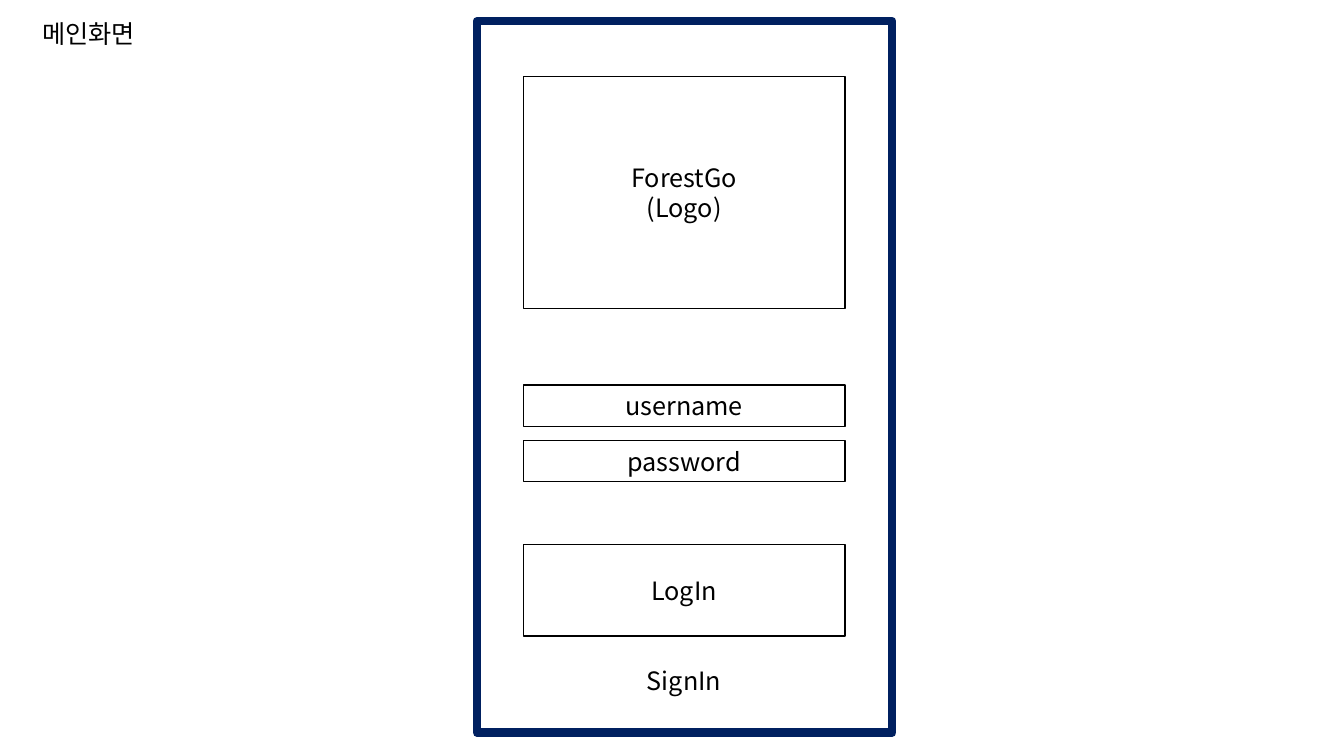
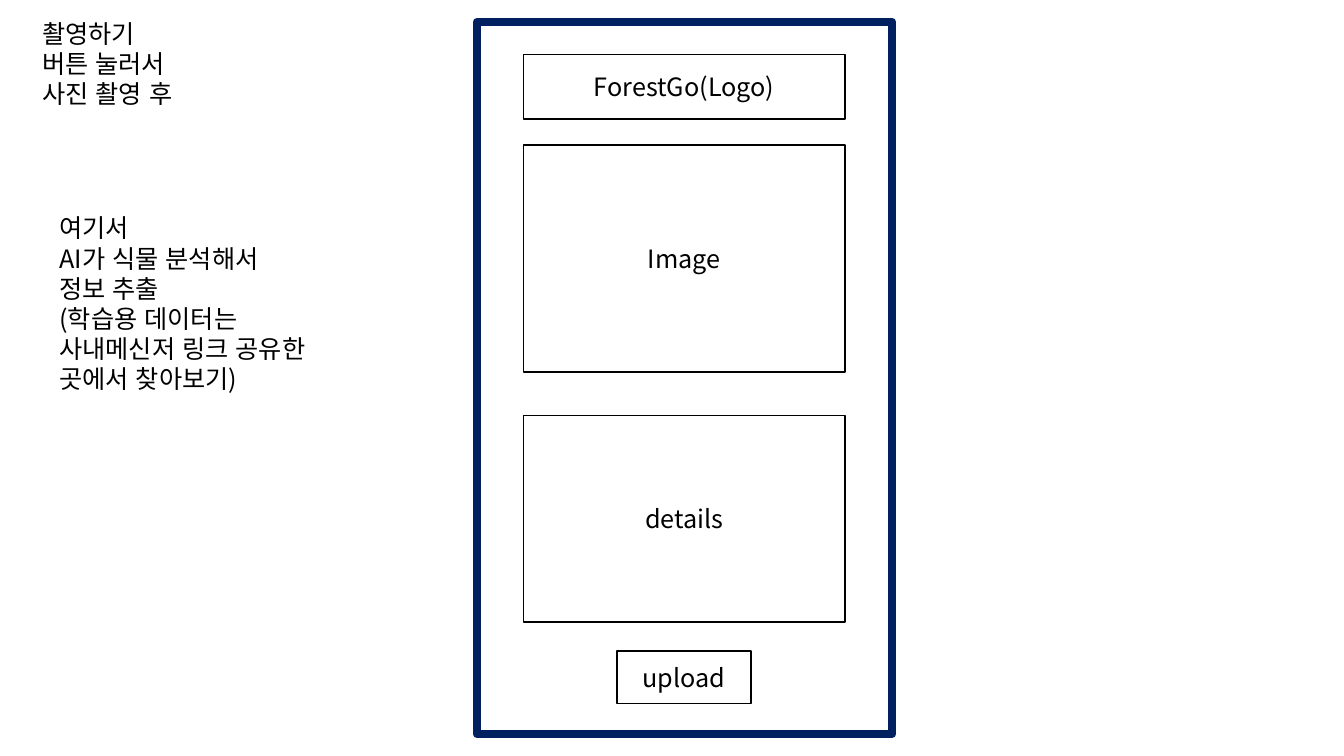
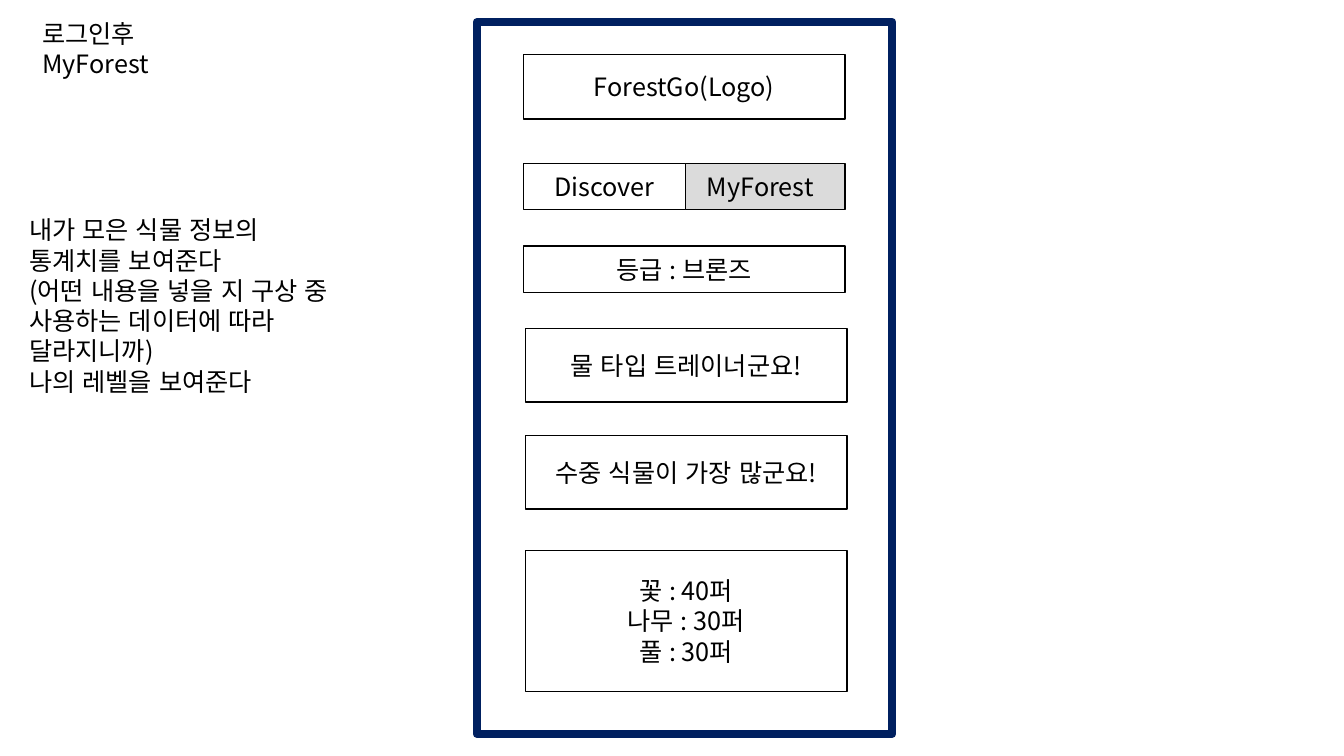
from pptx import Presentation
from pptx.dml.color import RGBColor
from pptx.enum.lang import MSO_LANGUAGE_ID as Lang
from pptx.enum.shapes import MSO_SHAPE as Shape
from pptx.enum.text import MSO_ANCHOR as Anchor, MSO_AUTO_SIZE as AutoSize, PP_ALIGN as Align
from pptx.oxml.ns import qn
from pptx.util import Emu, Pt
from lxml.etree import SubElement

PX = 9144  # EMU, 100 px to the inch
FONT, SIZE = "Noto Sans CJK KR", 18
NAVY, BLACK, WHITE, GREY = "002060", "000000", "FFFFFF", "DBDBDB"

# x, y, width, height
PHONE = (473, 22, 412, 706)
COL_X, COL_W = 519, 319
LOW_X = COL_X + 2
TITLE_XY = (32, 13)
LOGO = dict(text="ForestGo(Logo)", at=(COL_X, 54, COL_W, 64))

SCREENS = [
    dict(
        title=("메인화면", 155, 40),
        phone_dy=-1,
        boxes=[
            dict(text="ForestGo\n(Logo)", at=(COL_X, 76, COL_W, 230)),
            dict(text="username", at=(COL_X, 382, COL_W, 41)),
            dict(text="password", at=(COL_X, 437, COL_W, 41)),
            dict(text="LogIn", at=(COL_X, 540, COL_W, 91)),
            dict(text="SignIn", at=(COL_X, 654, COL_W, 41), line=None),
        ],
    ),
    dict(
        title=("촬영하기\n버튼 눌러서\n사진 촬영 후", 220, 101),
        note=("여기서\nAI가 식물 분석해서 정보 추출\n(학습용 데이터는\n"
              "사내메신저 링크 공유한 곳에서 찾아보기)", (49, 206, 267, 192)),
        boxes=[
            LOGO,
            dict(text="Image", at=(COL_X, 144, COL_W, 225)),
            dict(text="details", at=(COL_X, 412, COL_W, 205)),
            dict(text="upload", at=(612, 646, 133, 52)),
        ],
    ),
    dict(
        title=("로그인후\nMyForest", 155, 71),
        note=("내가 모은 식물 정보의\n통계치를 보여준다\n(어떤 내용을 넣을 지 구상 중\n"
              "사용하는 데이터에 따라 달라지니까)\n나의 레벨을 보여준다",
              (19, 208, 355, 192)),
        boxes=[
            LOGO,
            dict(text="MyForest", at=(670, 162, 168, 46), fill=GREY),
            dict(text="Discover", at=(COL_X, 162, 161, 46), fill=WHITE),
            dict(text="등급 : 브론즈", at=(COL_X, 244, COL_W, 46)),
            dict(text="물 타입 트레이너군요!", at=(LOW_X, 326, COL_W, 73)),
            dict(text="수중 식물이 가장 많군요!", at=(LOW_X, 432, COL_W, 73)),
            dict(text="꽃 : 40퍼\n나무 : 30퍼\n풀 : 30퍼", at=(LOW_X, 546, COL_W, 140)),
        ],
    ),
]


def px(*lengths):
    return [Emu(n * PX) for n in lengths]


def rgb(value):
    return RGBColor.from_string(value)


def write(tf, text, align=Align.LEFT, anchor=Anchor.TOP):
    """Fill a text frame, one paragraph per line of text."""
    tf.word_wrap = True
    tf.vertical_anchor = anchor
    for i, line in enumerate(text.split("\n")):
        p = tf.add_paragraph() if i else tf.paragraphs[0]
        p.alignment = align
        r = p.add_run()
        r.text = line
        r.font.name, r.font.size = FONT, Pt(SIZE)
        r.font.color.rgb = rgb(BLACK)
        r.font.language_id = Lang.KOREAN
        SubElement(r.font._element, qn("a:ea")).set("typeface", FONT)


def add_label(s, text, at):
    tf = s.shapes.add_textbox(*px(*at)).text_frame
    write(tf, text)
    tf.auto_size = AutoSize.SHAPE_TO_FIT_TEXT


def add_box(s, at, text="", fill=None, line=BLACK, weight=1):
    sp = s.shapes.add_shape(Shape.RECTANGLE, *px(*at))
    sp.shadow.inherit = False
    if fill:
        sp.fill.solid()
        sp.fill.fore_color.rgb = rgb(fill)
    else:
        sp.fill.background()
    if line:
        sp.line.color.rgb = rgb(line)
        sp.line.width = Pt(weight)
    else:
        sp.line.fill.background()
    if text:
        write(sp.text_frame, text, Align.CENTER, Anchor.MIDDLE)


def add_screen(prs, title, boxes, note=None, phone_dy=0):
    s = prs.slides.add_slide(prs.slide_layouts[6])
    text, w, h = title
    add_label(s, text, (*TITLE_XY, w, h))
    if note:
        add_label(s, *note)
    x, y, w, h = PHONE
    add_box(s, (x, y + phone_dy, w, h), fill=WHITE, line=NAVY, weight=6)
    for box in boxes:
        add_box(s, **box)


def main():
    prs = Presentation()
    prs.slide_width, prs.slide_height = px(1333, 750)
    for screen in SCREENS:
        add_screen(prs, **screen)
    prs.save("out.pptx")


if __name__ == "__main__":
    main()
